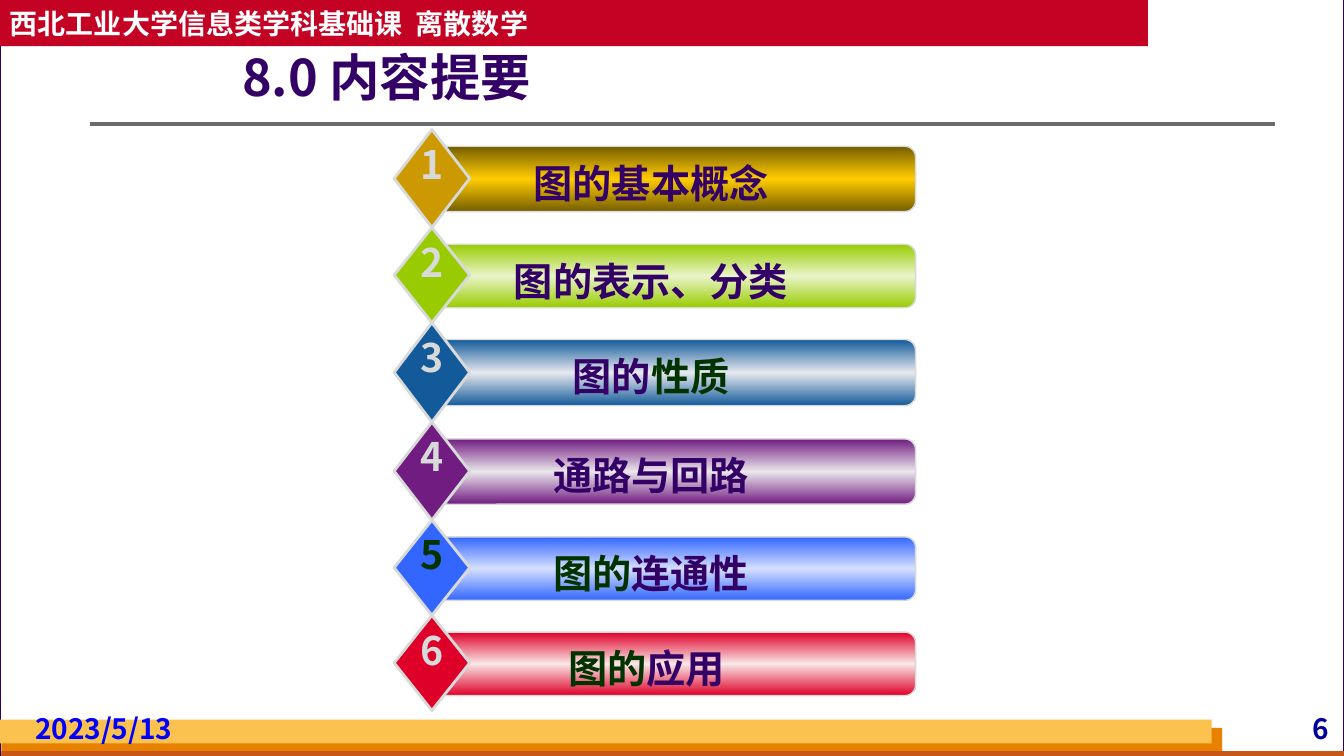
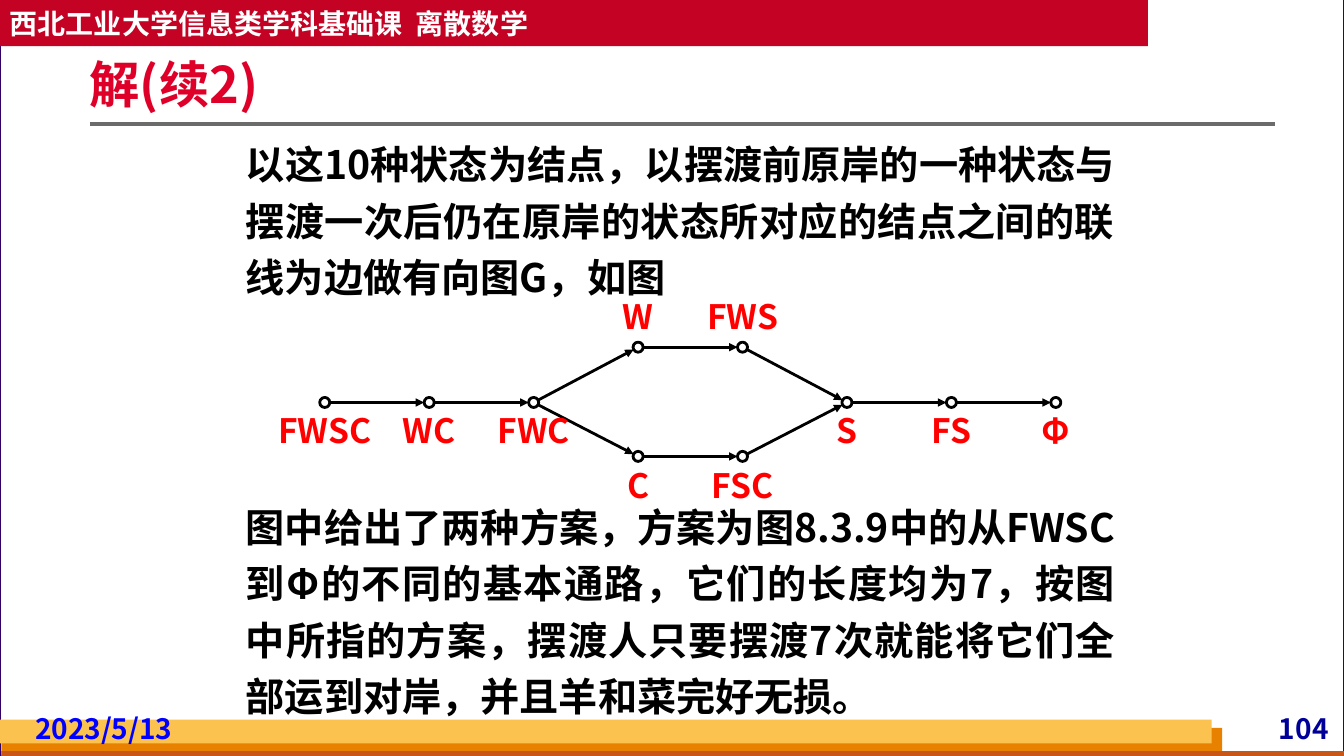
from math import hypot

from lxml.etree import SubElement
from pptx import Presentation
from pptx.dml.color import RGBColor
from pptx.enum.shapes import MSO_CONNECTOR as Connector, MSO_SHAPE as Shape
from pptx.enum.text import MSO_ANCHOR as Anchor, PP_ALIGN as Align
from pptx.oxml import parse_xml
from pptx.oxml.ns import nsdecls, qn
from pptx.util import Pt

INDIGO, GREEN, SILVER = "330066", "003300", "D8DADA"
CRIMSON, RED, BLACK, WHITE = "DF0029", "FF0000", "000000", "FFFFFF"


def color_of(value):
    return RGBColor.from_string(value)


def write(shape, text, color=BLACK, size=28, align=Align.LEFT, anchor=Anchor.TOP,
          spacing=1.0, insets=(7.2, 3.6, 7.2, 3.6), wrap=True, tab=None):
    frame = shape.text_frame
    frame.word_wrap = wrap
    frame.vertical_anchor = anchor
    frame.margin_left, frame.margin_top, frame.margin_right, frame.margin_bottom = map(Pt, insets)
    paragraph = frame.paragraphs[0]
    paragraph.alignment = align
    paragraph.line_spacing = spacing
    if tab:
        tabs = SubElement(paragraph._p.get_or_add_pPr(), qn("a:tabLst"))
        SubElement(tabs, qn("a:tab"), pos=str(Pt(tab)), algn="l")
    runs = [(text, color)] if isinstance(text, str) else text
    for run_text, run_color in runs:
        run = paragraph.add_run()
        run.text = run_text
        run.font.size = Pt(size)
        run.font.bold = True
        run.font.name = Deck.font
        run.font.color.rgb = color_of(run_color)
        SubElement(run._r.get_or_add_rPr(), qn("a:ea"), typeface=Deck.font)


class Deck:
    font = "Noto Sans CJK SC"
    footer_insets = (3, 0, 3, 0)

    def __init__(self):
        self.presentation = Presentation()
        self.presentation.slide_width = Pt(960)
        self.presentation.slide_height = Pt(540)
        self.slide = None

    def shape(self, kind, left, top, width, height, fill, line=None, weight=1):
        shape = self.slide.shapes.add_shape(kind, Pt(left), Pt(top), Pt(width), Pt(height))
        shape.shadow.inherit = False
        shape.fill.solid()
        shape.fill.fore_color.rgb = color_of(fill)
        if line:
            shape.line.color.rgb = color_of(line)
            shape.line.width = Pt(weight)
        else:
            shape.line.fill.background()
        return shape

    def gradient_bar(self, left, top, width, height, edge, middle):
        bar = self.shape(Shape.ROUNDED_RECTANGLE, left, top, width, height, edge, SILVER)
        stops = "".join(
            f'<a:gs pos="{position}"><a:srgbClr val="{value}"/></a:gs>'
            for position, value in ((0, edge), (50000, middle), (100000, edge)))
        gradient = parse_xml(f'<a:gradFill {nsdecls("a")} rotWithShape="1"><a:gsLst>{stops}'
                             '</a:gsLst><a:lin ang="5400000" scaled="1"/></a:gradFill>')
        properties = bar._element.spPr
        properties.replace(properties.find(qn("a:solidFill")), gradient)

    def text(self, left, top, width, height, text, **style):
        box = self.slide.shapes.add_textbox(Pt(left), Pt(top), Pt(width), Pt(height))
        write(box, text, **style)

    def line(self, start, end, color=BLACK, weight=2, arrow=False):
        connector = self.slide.shapes.add_connector(
            Connector.STRAIGHT, *map(Pt, (*start, *end)))
        connector.line.color.rgb = color_of(color)
        connector.line.width = Pt(weight)
        if arrow:
            SubElement(connector.line._get_or_add_ln(), qn("a:tailEnd"), type="triangle")
        SubElement(connector._element.spPr, qn("a:effectLst"))

    def title(self, text, left, top, width, height, color):
        self.text(left, top, width, height, text, color=color, size=36, spacing=0.9,
                  anchor=Anchor.MIDDLE, insets=(0, 3.6, 7.2, 3.6))

    def new_slide(self, number):
        self.slide = self.presentation.slides.add_slide(self.presentation.slide_layouts[6])
        self.shape(Shape.RECTANGLE, 0, 0, 960, 540, WHITE, INDIGO, 0.75)
        for left, top, width, height, fill in (
                (1, 520, 872, 20, "E88000"),
                (1, 536.5, 959, 3.5, "C95616"),
                (0, 514, 865.5, 17, "FCC24F")):
            self.shape(Shape.RECTANGLE, left, top, width, height, fill)
        self.text(835, 508, 117, 24, number, color="000099", size=20,
                  align=Align.RIGHT, insets=self.footer_insets)
        self.text(22, 508, 159, 24, "2023/5/13", color="0000FF", size=20,
                  insets=self.footer_insets)
        self.line((64, 88.5), (911, 88.5), "6B6B6B", 3)
        header = self.shape(Shape.RECTANGLE, 0, 0, 820, 33, "C30224")
        write(header, "西北工业大学信息类学科基础课\t离散数学", color=WHITE, size=20,
              anchor=Anchor.MIDDLE, tab=290)

    def agenda_item(self, number, top, height, label, diamond, edge, middle, number_color):
        self.gradient_bar(312, top + 12, 342, height * 2 / 3, edge, middle)
        self.shape(Shape.DIAMOND, 281.5, top, 54, height, diamond, SILVER, 2)
        self.text(330, top + 17.5, 270, 41, label, align=Align.CENTER)
        self.text(293, top + 4, 29, 41, str(number), color=number_color,
                  align=Align.CENTER, wrap=False)

    def node(self, center, radius):
        x, y = center
        self.shape(Shape.OVAL, x - radius, y - radius, 2 * radius, 2 * radius,
                   WHITE, BLACK, 2)

    def edge(self, start, end, radius):
        (x1, y1), (x2, y2) = start, end
        ratio = radius / hypot(x2 - x1, y2 - y1)
        dx, dy = (x2 - x1) * ratio, (y2 - y1) * ratio
        self.line((x1 + dx, y1 + dy), (x2 - dx, y2 - dy), arrow=True)


def build_agenda(deck):
    deck.new_slide("6")
    deck.title("8.0 内容提要", 173, 29.5, 625, 55.5, INDIGO)
    items = (
        (70, [("图的基本概念", INDIGO)], "CC9900", "765E00", "FFCC00", SILVER),
        (68, [("图的表示、分类", INDIGO)], "99CC00", "99CC00", "E9F4C9", SILVER),
        (71, [("图的", INDIGO), ("性质", GREEN)], "135A9A", "135A9A", "E6E8EE", SILVER),
        (70, [("通路与回路", INDIGO)], "711C81", "711C81", "EAE6EB", SILVER),
        (68, [("图的", GREEN), ("连通性", INDIGO)], "3366FF", "3366FF", "D4DFFF", GREEN),
        (68, [("图的", GREEN), ("应用 ", INDIGO)], CRIMSON, CRIMSON, "F9E6E6", SILVER),
    )
    top = 92.5
    for number, (height, *style) in enumerate(items, 1):
        deck.agenda_item(number, top, height, *style)
        top += height


def build_solution(deck):
    deck.new_slide("104")
    deck.title("解(续2)", 64, 26, 847, 72.5, CRIMSON)
    body = {"align": Align.JUSTIFY, "spacing": 1.2}
    deck.text(168.5, 90, 635, 128,
              "以这10种状态为结点，以摆渡前原岸的一种状态与摆渡一次后仍在原岸的状态"
              "所对应的结点之间的联线为边做有向图G，如图", **body)

    radius = 3.6
    row_heights = {"upper": 248, "middle": 287.5, "lower": 326}
    label_offsets = {"upper": -37, "middle": 5.5, "lower": 6}
    places = {
        "FWSC": (0, "middle"), "WC": (1, "middle"), "FWC": (2, "middle"),
        "W": (3, "upper"), "FWS": (4, "upper"),
        "C": (3, "lower"), "FSC": (4, "lower"),
        "S": (5, "middle"), "FS": (6, "middle"), "Φ": (7, "middle"),
    }
    centers = {state: (232 + 74.6 * column, row_heights[row])
               for state, (column, row) in places.items()}
    routes = (("FWSC", "WC", "FWC", "W", "FWS", "S", "FS", "Φ"),
              ("FWC", "C", "FSC", "S"))
    for route in routes:
        for start, end in zip(route, route[1:]):
            deck.edge(centers[start], centers[end], radius)
    for state, (x, y) in centers.items():
        deck.node((x, y), radius)
        deck.text(x - 38, y + label_offsets[places[state][1]], 76, 34.5, state,
                  color=RED, size=24, align=Align.CENTER, insets=(0, 0, 0, 0))

    deck.text(168.5, 349, 635, 168.5,
              "图中给出了两种方案，方案为图8.3.9中的从FWSC到Φ的不同的基本通路，"
              "它们的长度均为7，按图中所指的方案，摆渡人只要摆渡7次就能将它们全部"
              "运到对岸，并且羊和菜完好无损。", **body)


def main():
    deck = Deck()
    build_agenda(deck)
    build_solution(deck)
    deck.presentation.save("out.pptx")


if __name__ == "__main__":
    main()
